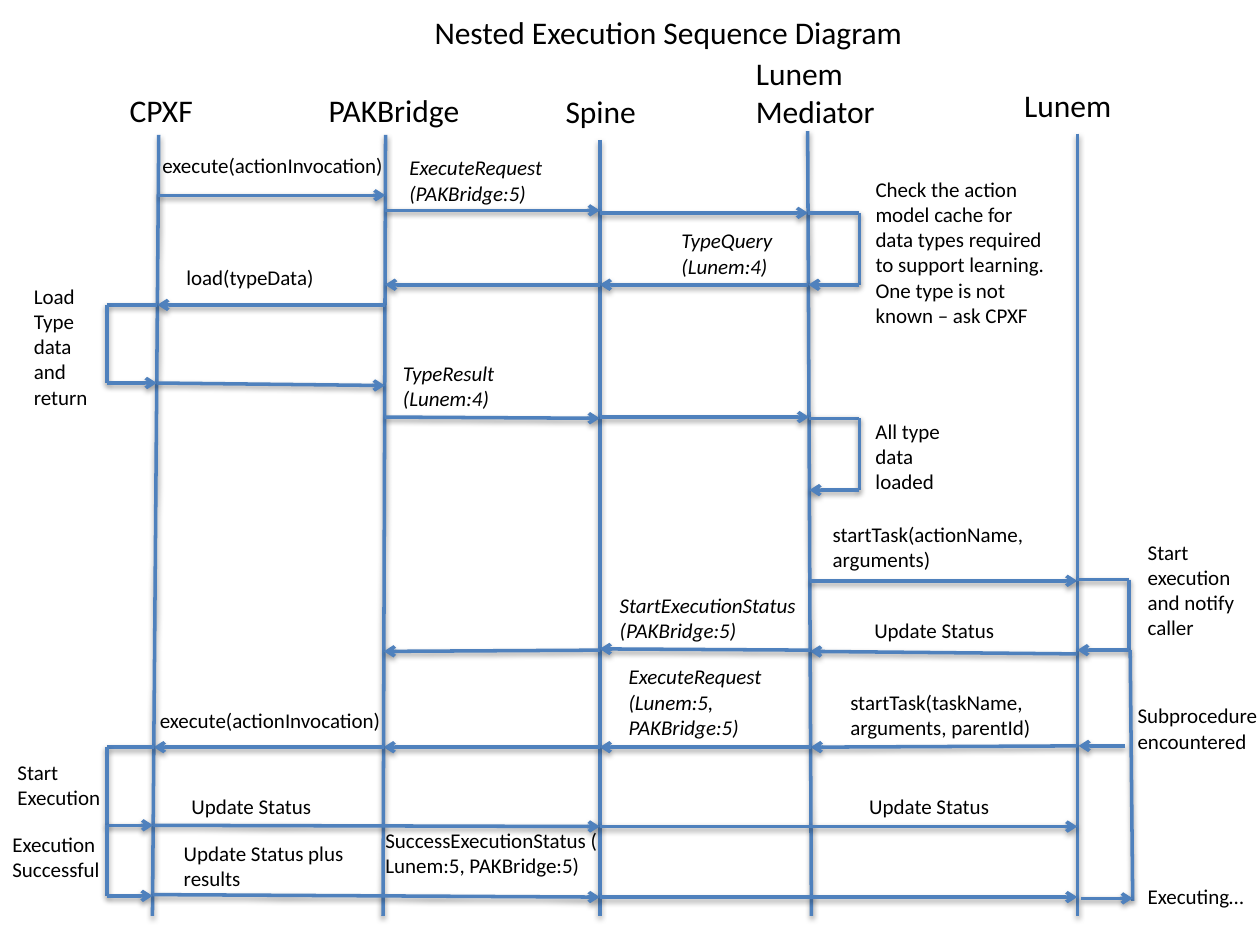
from collections import namedtuple
from lxml.etree import SubElement as Sub
from pptx import Presentation
from pptx.dml.color import RGBColor
from pptx.enum.shapes import MSO_CONNECTOR as Link
from pptx.enum.text import MSO_ANCHOR as Anchor, MSO_AUTO_SIZE as Fit, PP_ALIGN as Align
from pptx.oxml.ns import qn
from pptx.util import Inches, Pt

BLUE = RGBColor(0x4F, 0x81, 0xBD)
BLACK = RGBColor(0, 0, 0)
FONT = "Calibri"
COLS, ROWS = 100, 75

Box = namedtuple("Box", "left top width height")
Lane = namedtuple("Lane", "top end start stop")

LANES = {
    "C": Lane(12.6, 12.1, 10.7, 72.7),
    "P": Lane(30.6, 30.4, 10.7, 72.7),
    "S": Lane(47.6, 47.6, 11.1, 72.7),
    "M": Lane(64.1, 64.4, 10.4, 72.7),
    "L": Lane(85.5, 85.5, 10.6, 72.7),
}

HEADS = [
    ("CPXF", 9.3, 6.7, 8, 4),
    ("PAKBridge", 25.1, 6.7, 14, 4),
    ("Spine", 43.9, 6.8, 8, 4),
    ("Lunem\nMediator", 59, 3.8, 12.5, 7.1),
    ("Lunem", 80.3, 6.3, 10.7, 4),
]

CALLS = [
    ("C", "P", 15.5, 15.5), ("P", "S", 16.7, 16.7), ("S", "M", 16.9, 16.9),
    ("M", "S", 22.6, 22.6), ("S", "P", 22.6, 22.6), ("P", "C", 24.2, 24.2),
    ("C", "P", 30.4, 30.6), ("P", "S", 33.1, 33.2), ("S", "M", 33.1, 33.1),
    ("M", "L", 46.1, 46.1), ("L", "M", 51.9, 51.7), ("M", "S", 51.6, 51.5),
    ("S", "P", 51.6, 51.7), ("L", "M", 59.2, 59.3), ("M", "S", 59.3, 59.3),
    ("S", "P", 59.3, 59.3), ("P", "C", 59.3, 59.3), ("C", "S", 65.5, 65.6),
    ("S", "L", 65.6, 65.6), ("C", "S", 71, 71.2), ("S", "L", 71.2, 71.2),
]

LOOPS = [
    ("M", 68.2, 16.9, 22.6, True), ("C", 8.5, 24.2, 30.4, True),
    ("M", 68.2, 33.2, 38.9, True), ("L", 89.6, 46, 51.6, True),
    ("C", 8.5, 59.3, 65.5, True), ("C", 8.5, 65.5, 71.1, False),
]

LABELS = [
    ("execute(actionInvocation)", 11.9, 11.6, 24.9, 3, False),
    ("ExecuteRequest (PAKBridge:5)", 31.5, 11.8, 16.2, 5, True),
    ("TypeQuery (Lunem:4)", 53.1, 17.6, 13.8, 5, True),
    ("load(typeData)", 13.8, 20.5, 13.9, 3, False),
    ("TypeResult\n(Lunem:4)", 31, 28.1, 15.3, 5, True),
    ("startTask(actionName,\narguments)", 65.1, 40.9, 19.2, 5, False),
    ("StartExecutionStatus\n(PAKBridge:5)", 48.2, 46.5, 16.2, 5, True),
    ("Update Status", 68.4, 48.5, 12.5, 3, False),
    ("ExecuteRequest (Lunem:5, PAKBridge:5)", 48.9, 52.2, 16.2, 7.1, True),
    ("startTask(taskName, arguments, parentId)", 66.5, 54.2, 19.5, 5, False),
    ("execute(actionInvocation)", 11.7, 55.7, 24.9, 3, False),
    ("Update Status", 14.2, 62.5, 18.8, 3, False),
    ("Update Status", 68, 62.5, 18.8, 3, False),
    ("Update Status plus results", 13.6, 66.2, 18.8, 5, False),
    ("SuccessExecutionStatus (\nLunem:5, PAKBridge:5)", 29.6, 65.2, 28.1, 5, False),
]

NOTES = [
    ("Check the action model cache for data types required to support learning. "
     "One type is not known – ask CPXF", 68.5, 13.5, 15.9, 13.1),
    ("Load\nType\ndata\nand\nreturn", 1.7, 22, 13.6, 11.1),
    ("All type data loaded", 68.5, 32.7, 9.7, 7.1),
    ("Start\nexecution\nand notify caller", 90.1, 42.3, 12.5, 9.1),
    ("Subprocedure\nencountered", 89.3, 55.3, 12.5, 5),
    ("Start\nExecution", 0.4, 59.8, 11.3, 5),
    ("Execution\nSuccessful", 0, 65.5, 13.4, 5),
    ("Executing…", 90.1, 69.6, 12.5, 3),
]


def spot(box, x, y):
    return (Inches(box.left + box.width * x / COLS),
            Inches(box.top + box.height * y / ROWS))


def lane_x(name, y):
    lane = LANES[name]
    part = (y - lane.start) / (lane.stop - lane.start)
    return lane.top + (lane.end - lane.top) * part


def line(slide, box, start, stop, arrow=False):
    link = slide.shapes.add_connector(
        Link.STRAIGHT, *spot(box, *start), *spot(box, *stop))
    link.line.color.rgb = BLUE
    link.line.width = Pt(2)
    if arrow:
        Sub(link.line._get_or_add_ln(), qn("a:tailEnd"), type="arrow")
    fx = Sub(link._element.spPr, qn("a:effectLst"))
    shade = Sub(fx, qn("a:outerShdw"), blurRad=str(Pt(3.1)), dist=str(Pt(1.6)),
                dir="5400000", rotWithShape="0")
    tone = Sub(shade, qn("a:srgbClr"), val=str(BLACK))
    Sub(tone, qn("a:alpha"), val="38000")


def write(frame, text, size, italic=False, align=Align.LEFT):
    frame.text = text
    frame.word_wrap = True
    frame.auto_size = Fit.SHAPE_TO_FIT_TEXT
    frame.vertical_anchor = Anchor.TOP
    for para in frame.paragraphs:
        para.alignment = align
        for run in para.runs:
            font = run.font
            font.name, font.size, font.italic = FONT, Pt(size), italic
            font.color.rgb = BLACK


def label(slide, box, text, x, y, wide, high, size=12, italic=False):
    shape = slide.shapes.add_textbox(*spot(box, x, y), *spot(
        Box(0, 0, box.width, box.height), wide, high))
    write(shape.text_frame, text, size, italic)


def draw_title(slide, box):
    title = slide.shapes.title
    title.left, title.top = Inches(box.left), Inches(box.top)
    title.width, title.height = Inches(box.width), Inches(box.height)
    write(title.text_frame, "Nested Execution Sequence Diagram", 18, align=Align.CENTER)


def draw_lanes(slide, box):
    for head in HEADS:
        label(slide, box, *head, size=18)
    for lane in LANES.values():
        line(slide, box, (lane.top, lane.start), (lane.end, lane.stop))


def draw_calls(slide, box):
    for source, target, y, end in CALLS:
        line(slide, box, (lane_x(source, y), y), (lane_x(target, end), end), True)
    for text, x, y, wide, high, italic in LABELS:
        label(slide, box, text, x, y, wide, high, italic=italic)


def draw_loops(slide, box):
    for name, side, top, end, lid in LOOPS:
        if lid:
            line(slide, box, (lane_x(name, top), top), (side, top))
        line(slide, box, (side, top), (side, end))
        line(slide, box, (side, end), (lane_x(name, end), end), True)
    line(slide, box, (89.7, 51.6), (89.9, 71.5))
    line(slide, box, (89.3, 59.2), (85.6, 59.2), True)
    line(slide, box, (85.8, 71.3), (89.9, 71.3), True)
    for note in NOTES:
        label(slide, box, *note)


def main():
    deck = Presentation()
    deck.slide_width, deck.slide_height = Inches(10), Inches(7.5)
    slide = deck.slides.add_slide(deck.slide_layouts[5])
    page = Box(0, 0, 10, 7.5)
    draw_title(slide, Box(2.92, 0.05, 4.77, 0.4))
    for draw in (draw_lanes, draw_calls, draw_loops):
        draw(slide, page)
    deck.save("out.pptx")


if __name__ == "__main__":
    main()
